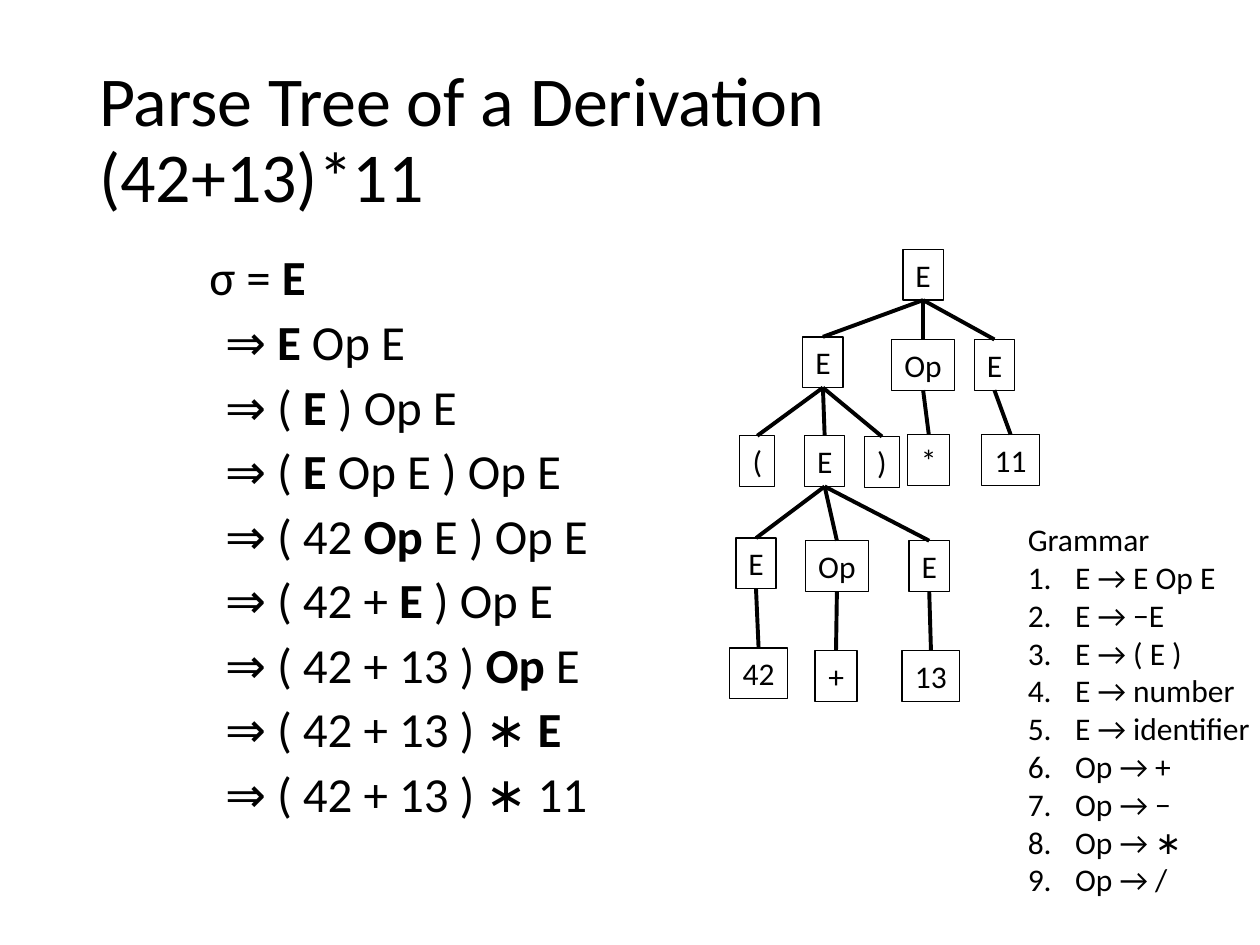
from pptx import Presentation
from pptx.dml.color import RGBColor
from pptx.enum.shapes import MSO_CONNECTOR, MSO_SHAPE
from pptx.enum.text import MSO_ANCHOR, MSO_AUTO_SIZE, PP_ALIGN
from pptx.oxml.ns import qn
from pptx.util import Pt

RECT, STRAIGHT = MSO_SHAPE.RECTANGLE, MSO_CONNECTOR.STRAIGHT
LEFT, CENTER, MIDDLE, TOP = PP_ALIGN.LEFT, PP_ALIGN.CENTER, MSO_ANCHOR.MIDDLE, MSO_ANCHOR.TOP
FIT, FIXED = MSO_AUTO_SIZE.SHAPE_TO_FIT_TEXT, MSO_AUTO_SIZE.NONE

THEME = {
    "font": "Calibri", "ink": RGBColor(0, 0, 0),
    "title": 40, "body": 28, "small": 18,
    "border": 0.75, "edge": 2.25,
}


def add_run(p, text, size, bold=False):
    r = p.add_run()
    r.text = text
    for name, value in {"name": THEME["font"], "size": Pt(size), "bold": bold}.items():
        setattr(r.font, name, value)
    r.font.color.rgb = THEME["ink"]


def set_frame(tf, **formats):
    for name, value in formats.items():
        setattr(tf, name, value)
    return tf


prs = Presentation()
prs.slide_width, prs.slide_height = Pt(720), Pt(540)
s = prs.slides.add_slide(prs.slide_layouts[5])

# Title
title = s.shapes.title
title.left, title.top, title.width, title.height = Pt(49.5), Pt(28.75), Pt(621), Pt(104.5)
tf = set_frame(title.text_frame, vertical_anchor=MIDDLE, word_wrap=True, auto_size=FIXED)
p = tf.paragraphs[0]
p.alignment, p.line_spacing = LEFT, 0.9
add_run(p, "Parse Tree of a Derivation", THEME["title"])
p.add_line_break()
add_run(p, "(42+13)*11", THEME["title"])

# Derivation: text before, the bold symbol to expand, text after
derivation = [
    ("σ = ", "E", ""),
    ("⇒ ", "E", " Op E"),
    ("⇒ ( ", "E", " ) Op E"),
    ("⇒ ( ", "E", " Op E ) Op E"),
    ("⇒ ( 42 ", "Op", " E ) Op E"),
    ("⇒ ( 42 + ", "E", " ) Op E"),
    ("⇒ ( 42 + 13 ) ", "Op", " E"),
    ("⇒ ( 42 + 13 ) ∗ ", "E", ""),
    ("⇒ ( 42 + 13 ) ∗ 11", "", ""),
]
sp = s.shapes.add_textbox(Pt(49.5), Pt(144), Pt(306), Pt(342.5))
tf = set_frame(sp.text_frame, word_wrap=True, auto_size=FIXED, vertical_anchor=TOP)
for i, (before, symbol, after) in enumerate(derivation):
    p = tf.add_paragraph() if i else tf.paragraphs[0]
    p.line_spacing, p.space_before = 0.8, Pt(10)
    p._p.get_or_add_pPr().set("marL", str(Pt(72 if i else 63)))
    for text, bold in ((before, False), (symbol, True), (after, False)):
        if text:
            add_run(p, text, THEME["body"], bold)

# Parse tree: key -> label, centre x, top, parent
box_height = 29
box_widths = {"E": 23, "Op": 36, "(": 20, ")": 20, "+": 24, "*": 24}
number_width = 33
tree = {
    "root": ("E", 527.5, 142.5, None),
    "group": ("E", 470.25, 192.5, "root"),
    "times": ("Op", 527.5, 194, "root"),
    "right": ("E", 568.25, 194, "root"),
    "open": ("(", 432.75, 249, "group"),
    "sum": ("E", 471.25, 249, "group"),
    "close": (")", 504, 249.5, "group"),
    "star": ("*", 530.75, 248.25, "times"),
    "eleven": ("11", 577.5, 248.25, "right"),
    "first": ("E", 432, 307.5, "sum"),
    "add": ("Op", 478.25, 309, "sum"),
    "second": ("E", 531, 309, "sum"),
    "forty_two": ("42", 433.5, 370.25, "first"),
    "plus": ("+", 477.75, 371.75, "add"),
    "thirteen": ("13", 532, 371.75, "second"),
}
for label, center, top, parent in tree.values():
    width = box_widths.get(label, number_width)
    sp = s.shapes.add_shape(RECT, Pt(center - width / 2), Pt(top), Pt(width), Pt(box_height))
    sp.shadow.inherit = False
    sp.fill.background()
    sp.line.color.rgb, sp.line.width = THEME["ink"], Pt(THEME["border"])
    tf = set_frame(sp.text_frame, word_wrap=False, auto_size=FIT, vertical_anchor=TOP)
    tf.paragraphs[0].alignment = CENTER
    add_run(tf.paragraphs[0], label, THEME["small"])

# Edges from the bottom of each parent to the top of its child
for label, center, top, parent in tree.values():
    if parent:
        start_x, start_y = tree[parent][1], tree[parent][2] + box_height
        edge = s.shapes.add_connector(STRAIGHT, Pt(start_x), Pt(start_y), Pt(center), Pt(top))
        edge.line.color.rgb, edge.line.width = THEME["ink"], Pt(THEME["edge"])
        edge._element.spPr.append(edge._element.makeelement(qn("a:effectLst"), {}))

# Grammar with numbered rules
rules = ["E → E Op E", "E → −E", "E → ( E )", "E → number", "E → identifier",
         "Op → +", "Op → −", "Op → ∗", "Op → /"]
sp = s.shapes.add_textbox(Pt(580.25), Pt(293.75), Pt(147), Pt(225.5))
tf = set_frame(sp.text_frame, word_wrap=True, auto_size=FIXED, vertical_anchor=TOP)
add_run(tf.paragraphs[0], "Grammar", THEME["small"])
for rule in rules:
    p = tf.add_paragraph()
    pPr = p._p.get_or_add_pPr()
    pPr.set("marL", str(Pt(27)))
    pPr.set("indent", str(-Pt(27)))
    pPr.append(pPr.makeelement(qn("a:buFont"), {"typeface": THEME["font"]}))
    pPr.append(pPr.makeelement(qn("a:buAutoNum"), {"type": "arabicPeriod"}))
    add_run(p, rule, THEME["small"])

prs.save("out.pptx")
